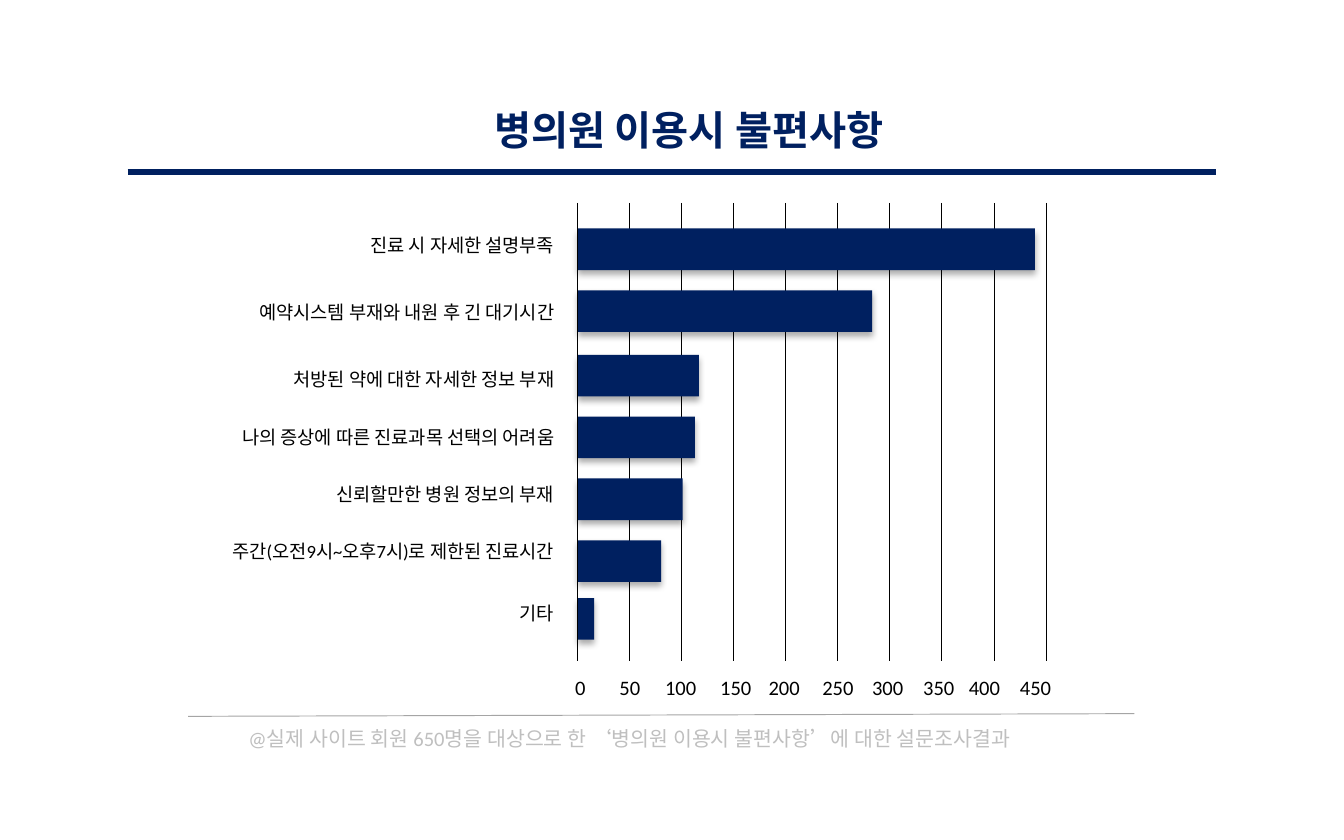
"""Build a slide with a bar diagram of complaints about clinic visits."""
from lxml.etree import SubElement
from pptx import Presentation
from pptx.dml.color import RGBColor
from pptx.enum.shapes import MSO_CONNECTOR as CONN, MSO_SHAPE as SHAPE
from pptx.enum.text import MSO_ANCHOR as ANCHOR, PP_ALIGN as ALIGN
from pptx.oxml import parse_xml
from pptx.oxml.ns import nsdecls, qn
from pptx.util import Inches, Pt

NAVY = "002060"
KOREAN = "Noto Sans CJK KR"
SHADOW = (
    f'<a:effectLst {nsdecls("a")}>'
    '<a:outerShdw blurRad="44450" dist="27940" dir="5400000" algn="t" rotWithShape="0">'
    '<a:srgbClr val="000000"><a:alpha val="32000"/></a:srgbClr>'
    '</a:outerShdw></a:effectLst>'
)


def write(text, box, sp=None, size=11, color="000000", font="Calibri",
          bold=False, align=ALIGN.LEFT, anchor=ANCHOR.TOP, wrap=True):
    sp = sp or s.shapes.add_textbox(0, 0, 0, 0)
    sp.left, sp.top, sp.width, sp.height = map(Inches, box)
    tf = sp.text_frame
    tf.word_wrap = wrap
    tf.vertical_anchor = anchor
    p = tf.paragraphs[0]
    p.alignment = align
    r = p.add_run()
    r.text = text
    r.font.size, r.font.bold, r.font.name = Pt(size), bold, font
    r.font.color.rgb = RGBColor.from_string(color)
    SubElement(r.font._element, qn("a:ea")).set("typeface", KOREAN)


def line(x1, y1, x2, y2, color="000000", width=0.5):
    ln = s.shapes.add_connector(CONN.STRAIGHT, *map(Inches, (x1, y1, x2, y2)))
    ln.line.color.rgb = RGBColor.from_string(color)
    ln.line.width = Pt(width)
    SubElement(ln._element.spPr, qn("a:effectLst"))


prs = Presentation()
prs.slide_width, prs.slide_height = Inches(10), Inches(6.25)
s = prs.slides.add_slide(prs.slide_layouts[5])

write("병의원 이용시 불편사항", (3.43, 0.73, 3.39, 0.46), sp=s.shapes.title, size=21.6,
      color=NAVY, font=KOREAN, bold=True, align=ALIGN.CENTER, anchor=ANCHOR.MIDDLE, wrap=False)
line(0.95, 1.28, 9.05, 1.28, NAVY, 3)

axis_x, step = 4.3, 0.387
for i in range(1, 10):
    x = axis_x + i * step
    line(x, 1.51, x, 4.92)

bars = [
    ("진료 시 자세한 설명부족", 1.7, 3.4, 1.69),
    ("예약시스템 부재와 내원 후 긴 대기시간", 2.16, 2.19, 2.19),
    ("처방된 약에 대한 자세한 정보 부재", 2.64, 0.9, 2.69),
    ("나의 증상에 따른 진료과목 선택의 어려움", 3.1, 0.87, 3.12),
    ("신뢰할만한 병원 정보의 부재", 3.56, 0.78, 3.54),
    ("주간(오전9시~오후7시)로 제한된 진료시간", 4.02, 0.62, 3.97),
    ("기타", 4.45, 0.12, 4.43),
]
for label, top, width, label_top in bars:
    bar = s.shapes.add_shape(SHAPE.RECTANGLE, *map(Inches, (axis_x, top, width, 0.31)))
    bar.fill.solid()
    bar.fill.fore_color.rgb = RGBColor.from_string(NAVY)
    bar.line.fill.background()
    bar._element.spPr.append(parse_xml(SHADOW))
    write(label, (1.38, label_top, 2.84, 0.27), size=10, align=ALIGN.RIGHT)
line(axis_x, 1.51, axis_x, 4.92)

tick_lefts = [4.18, 4.51, 4.85, 5.26, 5.62, 6.02, 6.39, 6.77, 7.11, 7.49]
for i, left in enumerate(tick_lefts):
    write(str(i * 50), (left, 4.97, 0.58 if i else 0.25, 0.29))

line(1.4, 5.33, 8.44, 5.31, "A5A5A5")
write("@실제 사이트 회원 650명을 대상으로 한 ‘병의원 이용시 불편사항’에 대한 설문조사결과",
      (1.75, 5.35, 6.86, 0.29), color="BFBFBF")

prs.save("out.pptx")
